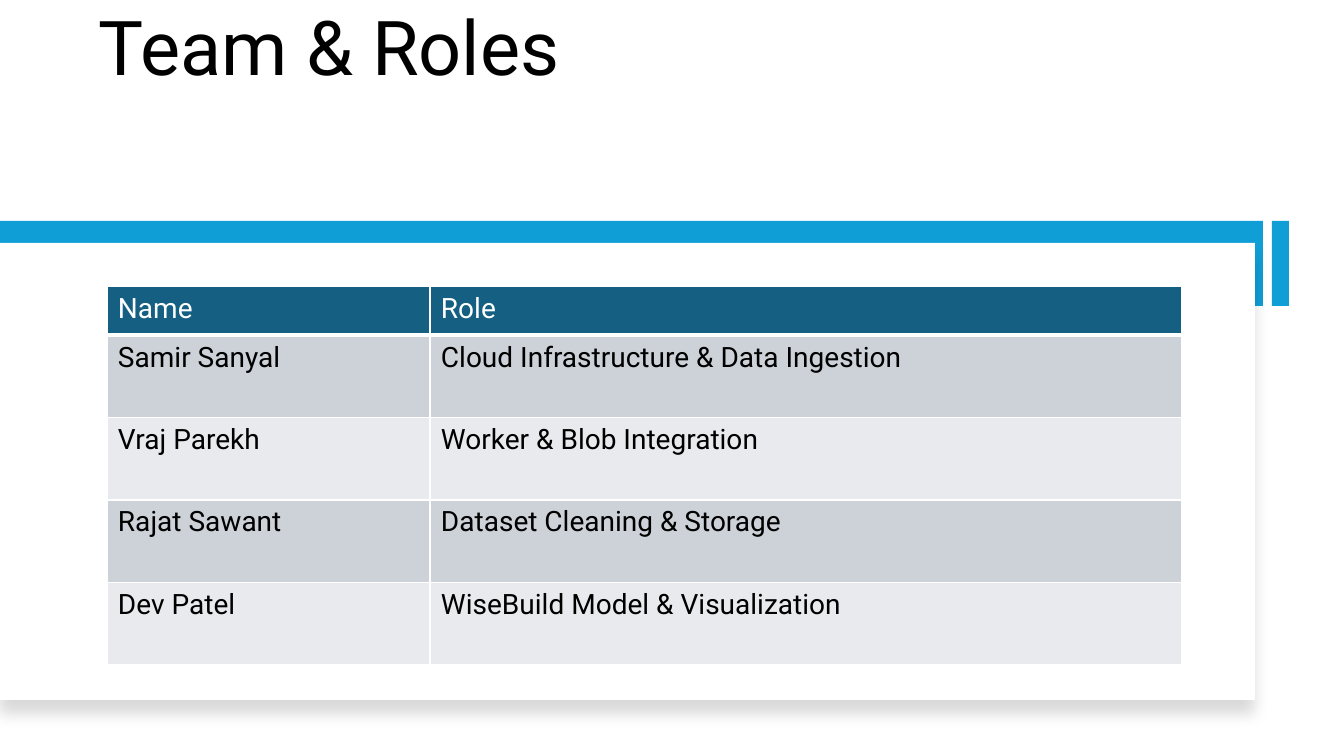
from lxml import etree
from pptx import Presentation
from pptx.dml.color import RGBColor
from pptx.enum.shapes import MSO_SHAPE
from pptx.enum.text import MSO_ANCHOR
from pptx.oxml.ns import qn
from pptx.util import Emu, Pt

RECTANGLE = MSO_SHAPE.RECTANGLE
BOTTOM = MSO_ANCHOR.BOTTOM
EMU_PER_PX = 914400 / 100.8
FONT = "Roboto"
COLORS = {
    "text": "000000",
    "white": "FFFFFF",
    "accent": "0F9ED5",
    "header": "156082",
    "odd_row": "CCD2D8",
    "even_row": "E8EAED",
}
TEAM = [
    ("Name", "Role"),
    ("Samir Sanyal", "Cloud Infrastructure & Data Ingestion"),
    ("Vraj Parekh", "Worker & Blob Integration"),
    ("Rajat Sawant", "Dataset Cleaning & Storage"),
    ("Dev Patel", "WiseBuild Model & Visualization"),
]


def px(length):
    return Emu(round(length * EMU_PER_PX))


def color(name):
    return RGBColor.from_string(COLORS[name])


def set_margins(target, left, top, right, bottom):
    margins = {"left": left, "top": top, "right": right, "bottom": bottom}
    for side, length in margins.items():
        setattr(target, f"margin_{side}", px(length))


def write_text(paragraph, text, size, color_name):
    run = paragraph.add_run()
    run.text = text
    for name, value in {"name": FONT, "size": Pt(size), "bold": False}.items():
        setattr(run.font, name, value)
    run.font.color.rgb = color(color_name)


def add_rectangle(slide, box, fill):
    shape = slide.shapes.add_shape(RECTANGLE, *map(px, box))
    shape.shadow.inherit = False
    shape.fill.solid()
    shape.fill.fore_color.rgb = color(fill)
    shape.line.fill.background()
    return shape


def add_soft_shadow(shape):
    effects = shape._element.spPr.find(qn("a:effectLst"))
    shadow = etree.SubElement(
        effects, qn("a:outerShdw"), blurRad=str(Pt(11)), dist=str(Pt(10)),
        dir="5400000", algn="t", rotWithShape="0")
    tint = etree.SubElement(shadow, qn("a:srgbClr"), val=COLORS["text"])
    etree.SubElement(tint, qn("a:alpha"), val="15000")


def add_title(slide, box):
    """Bottom-anchored title, raised by one line through its lower margin."""
    frame = slide.shapes.add_textbox(*map(px, box)).text_frame
    frame.word_wrap = True
    frame.vertical_anchor = BOTTOM
    set_margins(frame, 10, 5, 10, 85)
    paragraph = frame.paragraphs[0]
    paragraph.line_spacing = 0.9
    write_text(paragraph, "Team & Roles", 54, "text")


def add_panel(slide, box):
    """White card over an accent band, with a short bar to its right."""
    left, top, width, height = box
    band_top, band_height = top - 22, 85
    band_width = width + 8
    add_rectangle(slide, (left + band_width + 9, band_top, 17, band_height), "accent")
    add_rectangle(slide, (left, band_top, band_width, band_height), "accent")
    add_soft_shadow(add_rectangle(slide, box, "white"))


def set_borders(cell, widths):
    properties = cell._tc.get_or_add_tcPr()
    for position, (side, width) in enumerate(widths.items()):
        line = etree.Element(qn(f"a:ln{side}"), w=str(Pt(width)))
        fill = etree.SubElement(line, qn("a:solidFill"))
        etree.SubElement(fill, qn("a:srgbClr"), val=COLORS["white"])
        properties.insert(position, line)


def add_team_table(slide, box):
    left, top, width, height = box
    header_height, name_width = 49, 323
    row_height = (height - header_height) / (len(TEAM) - 1)
    table = slide.shapes.add_table(len(TEAM), 2, *map(px, box)).table
    for column, column_width in zip(table.columns, (name_width, width - name_width)):
        column.width = px(column_width)
    for index, (row, texts) in enumerate(zip(table.rows, TEAM)):
        is_header = index == 0
        row.height = px(header_height if is_header else row_height)
        fill = "header" if is_header else ("even_row", "odd_row")[index % 2]
        for cell, text in zip(row.cells, texts):
            cell.fill.solid()
            cell.fill.fore_color.rgb = color(fill)
            set_margins(cell, 11, 6, 11, 6)
            set_borders(cell, {"L": 1, "R": 1, "T": 3 if index == 1 else 1,
                               "B": 3 if is_header else 1})
            write_text(cell.text_frame.paragraphs[0], text, 20,
                       "white" if is_header else "text")


def main():
    presentation = Presentation()
    presentation.slide_width = px(1344)
    presentation.slide_height = px(756)
    slide = presentation.slides.add_slide(presentation.slide_layouts[6])
    add_title(slide, (89, 42, 1018, 131))
    add_panel(slide, (0, 243, 1255, 457))
    add_team_table(slide, (107, 286, 1075, 379))
    presentation.save("out.pptx")


if __name__ == "__main__":
    main()
